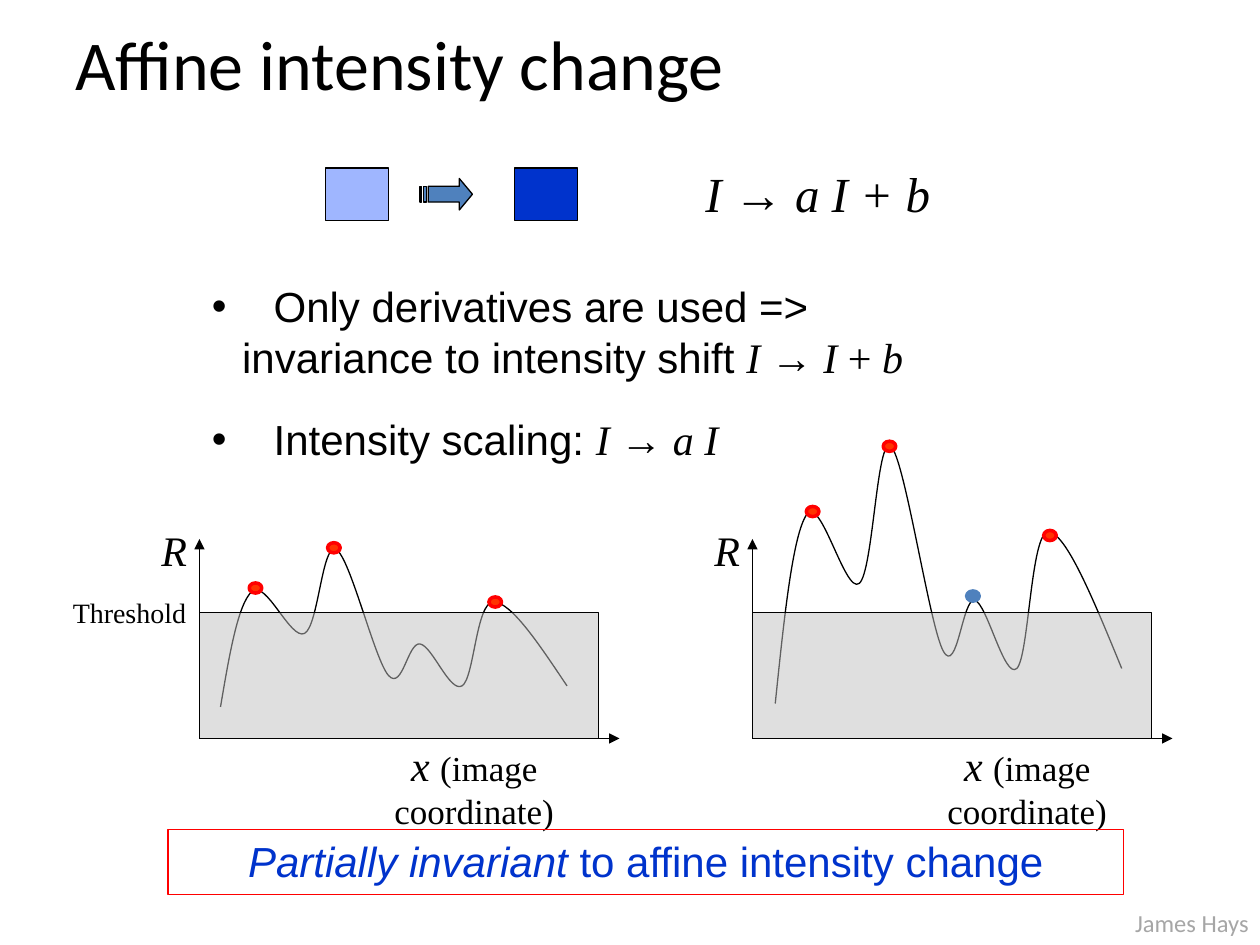
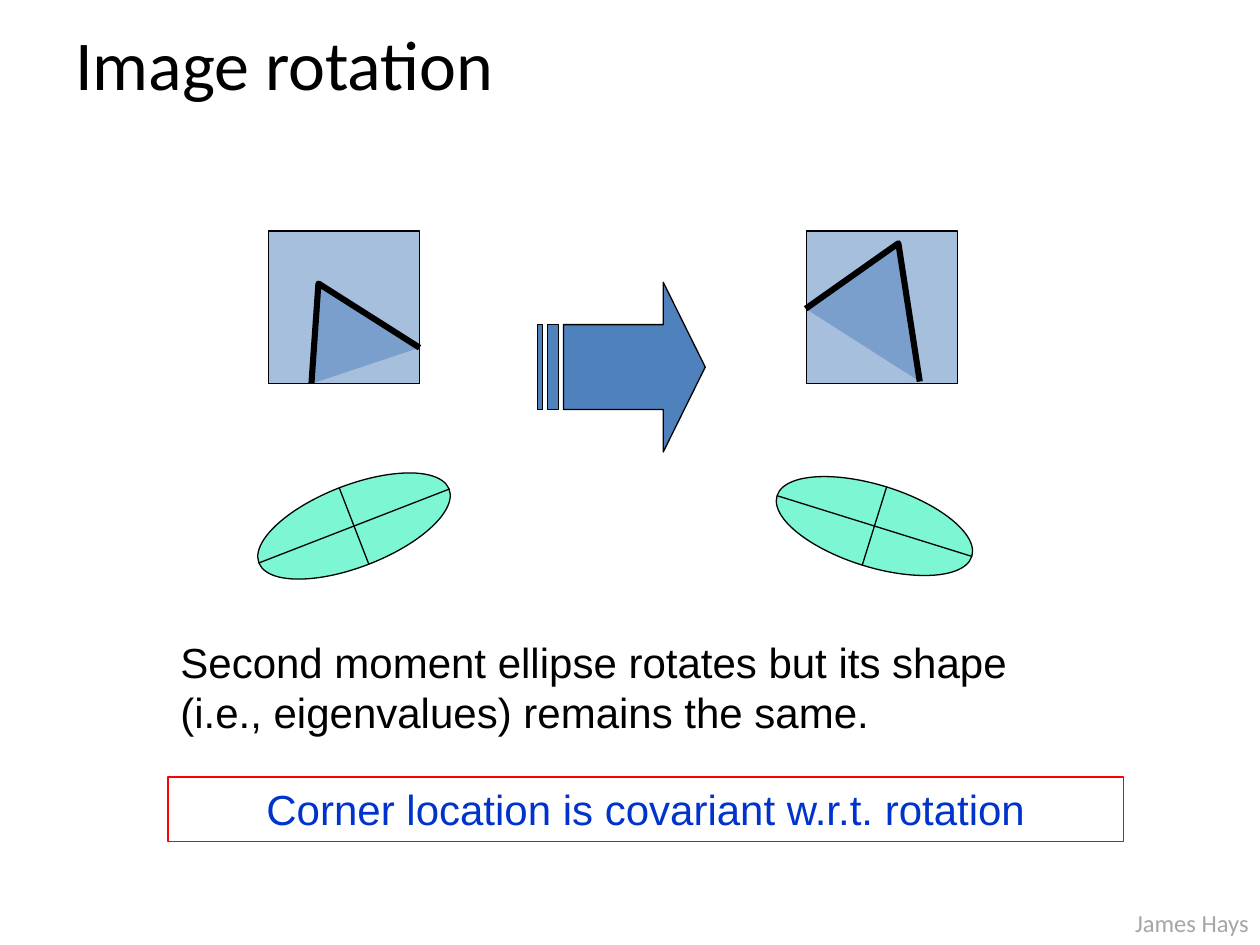
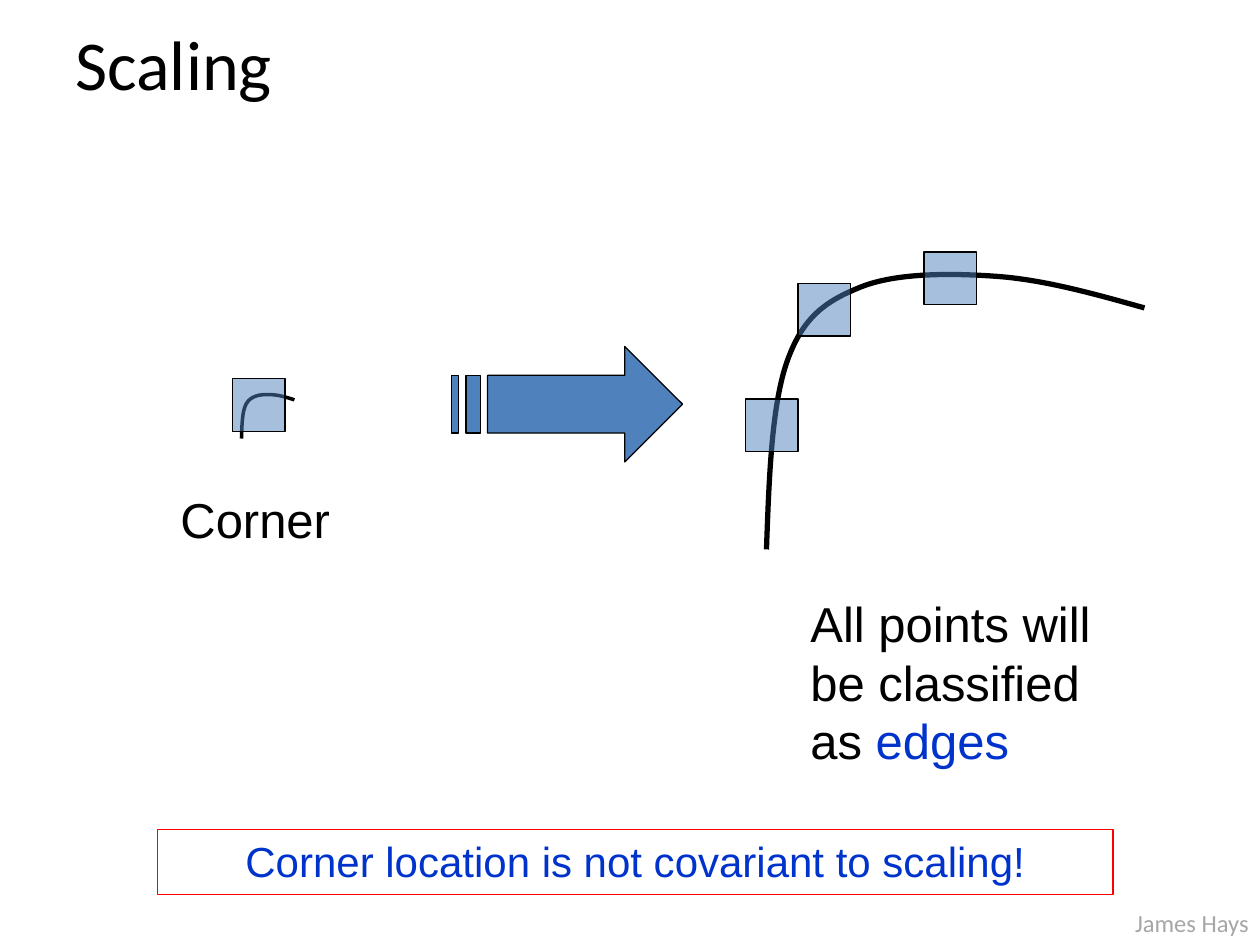
import math

import pptx
import pptx.dml.color
import pptx.enum.shapes
import pptx.enum.text
import pptx.oxml.ns
import pptx.util
from lxml import etree

Pt = pptx.util.Pt
qn = pptx.oxml.ns.qn
ALIGN = pptx.enum.text.PP_ALIGN
SHAPE = pptx.enum.shapes.MSO_SHAPE

COLOURS = {
    "text": "000000", "footer": "A6A6A6", "blue": "0033CC", "pale": "9FB6FF",
    "accent": "4F81BD", "gray": "C0C0C0", "border": "FF0000", "dot": "FF3300",
    "ellipse": "7CF6D3",
}
STYLES = {
    "title": ("Calibri", 40, False, "text"),
    "footer": ("Calibri", 14, False, "footer"),
    "body": ("Arial", 24, False, "text"),
    "large": ("Arial", 28, False, "text"),
    "large blue": ("Arial", 28, False, "blue"),
    "result": ("Arial", 24, False, "blue"),
    "result italic": ("Arial", 24, True, "blue"),
    "math": ("Times New Roman", 24, True, "text"),
    "symbol": ("Times New Roman", 24, False, "text"),
    "formula": ("Times New Roman", 28, True, "text"),
    "formula symbol": ("Times New Roman", 28, False, "text"),
    "axis note": ("Times New Roman", 20, False, "text"),
    "threshold": ("Times New Roman", 16, False, "text"),
}

FOOTER = "James Hays"
FORMULA = [("I ", "formula"), ("→ ", "formula symbol"), ("a I + b", "formula")]
BULLETS = [
    (114, 157, 438, 66, [
        ("Only derivatives are used => invariance to intensity shift ", "body"),
        ("I ", "math"), ("→ ", "symbol"), ("I ", "math"), ("+ ", "symbol"), ("b", "math"),
    ]),
    (114, 233, 408, 36, [
        ("Intensity scaling: ", "body"), ("I ", "math"), ("→ ", "symbol"), ("a I", "math"),
    ]),
]
AXIS_LABEL = [("x ", "math"), ("(image coordinate)", "axis note")]
CURVE_X = (126, 144, 174, 192, 222, 240, 264, 282, 324)
PLOTS = [
    {
        "left": 114, "curve_shift": 0,
        "curve_y": (404, 338, 362, 314, 386, 368, 392, 344, 392),
        "peaks": [(146, 336, True), (190.8, 313, True), (283, 344, True)],
    },
    {
        "left": 430, "curve_shift": 317,
        "curve_y": (402, 294, 333.4, 255, 372, 343, 382, 304, 382),
        "peaks": [(464.4, 292.3, True), (508.3, 255, True),
                  (556, 340.6, False), (600, 306, True)],
    },
]
CORNERS = [
    (153.4, [(178, 219.3), (182, 162), (239.8, 198.7)]),
    (460.8, [(460.4, 176.4), (513.4, 139), (525.6, 218)]),
]
ELLIPSES = [(202.3, 300.6, -21.2), (499.7, 300.6, 17.3)]
EDGE_CURVE = [(438, 314), (450, 206), (492, 164), (570, 158), (654, 176)]
EDGE_WINDOWS = [(528, 144), (456, 162), (426, 228)]


def rgb(name):
    return pptx.dml.color.RGBColor.from_string(COLOURS[name])


def paint(shape, fill=None, line="text", stroke=0.75, opacity=100):
    shape.shadow.inherit = False
    if fill:
        shape.fill.solid()
        shape.fill.fore_color.rgb = rgb(fill)
        if opacity < 100:
            colour = shape._element.spPr.find(qn("a:solidFill"))[0]
            etree.SubElement(colour, qn("a:alpha"), val=str(opacity * 1000))
    else:
        shape.fill.background()
    shape.line.color.rgb = rgb(line)
    shape.line.width = Pt(stroke)


def add_block(slide, kind, left, top, width, height, fill, **look):
    shape = slide.shapes.add_shape(kind, Pt(left), Pt(top), Pt(width), Pt(height))
    paint(shape, fill, **look)
    return shape


def add_runs(paragraph, runs):
    for text, style in runs:
        run = paragraph.add_run()
        run.text = text
        font, size, italic, colour = STYLES[style]
        run.font.name = font
        run.font.size = Pt(size)
        run.font.italic = italic
        run.font.color.rgb = rgb(colour)


def add_text(slide, left, top, width, height, runs, align=ALIGN.LEFT, sides=7.2):
    box = slide.shapes.add_textbox(Pt(left), Pt(top), Pt(width), Pt(height))
    frame = box.text_frame
    frame.word_wrap = True
    frame.margin_left = frame.margin_right = Pt(sides)
    frame.paragraphs[0].alignment = align
    add_runs(frame.paragraphs[0], runs)
    return box


def add_bullet(slide, left, top, width, height, runs):
    box = add_text(slide, left, top, width, height, [(" ", "symbol")] + runs)
    paragraph = box.text_frame.paragraphs[0]
    hanging = Pt(17.3)
    properties = paragraph._p.get_or_add_pPr()
    properties.set("marL", str(hanging))
    properties.set("indent", str(-hanging))
    etree.SubElement(properties, qn("a:buFont"), typeface="Arial")
    etree.SubElement(properties, qn("a:buChar"), char="•")
    paragraph.runs[0]._r.get_or_add_rPr().set("spc", "1200")


def add_line(slide, start, end, arrow=False):
    ends = [Pt(value) for value in (*start, *end)]
    line = slide.shapes.add_connector(pptx.enum.shapes.MSO_CONNECTOR.STRAIGHT, *ends)
    line.line.color.rgb = rgb("text")
    line.line.width = Pt(0.75)
    if arrow:
        etree.SubElement(line.line._get_or_add_ln(), qn("a:tailEnd"), type="triangle")
    etree.SubElement(line._element.spPr, qn("a:effectLst"))


def add_outline(slide, contours, close=False):
    contours = [[(Pt(x), Pt(y)) for x, y in contour] for contour in contours]
    builder = slide.shapes.build_freeform(*contours[0][0])
    for number, contour in enumerate(contours):
        if number:
            builder.move_to(*contour[0])
        builder.add_line_segments(contour[1:], close=close)
    return builder.convert_to_shape()


def midpoint(first, second):
    return (first[0] + second[0]) / 2, (first[1] + second[1]) / 2


def add_curve(slide, knots, stroke):
    handles = []
    for before, knot, after in zip(knots, knots[1:], knots[2:]):
        dx, dy = (after[0] - before[0]) / 6, (after[1] - before[1]) / 6
        handles.append(((knot[0] - dx, knot[1] - dy), (knot[0] + dx, knot[1] + dy)))
    points = [knots[0], midpoint(knots[0], handles[0][0])]
    for knot, (incoming, outgoing) in zip(knots[1:], handles):
        points += [incoming, knot, outgoing]
    points += [midpoint(handles[-1][1], knots[-1]), knots[-1]]
    shape = add_outline(slide, [points])
    path = next(shape._element.iter(qn("a:path")))
    segments = path.findall(qn("a:lnTo"))
    for index in range(0, len(segments), 3):
        bezier = etree.SubElement(path, qn("a:cubicBezTo"))
        for segment in segments[index:index + 3]:
            bezier.append(segment[0])
            path.remove(segment)
    paint(shape, stroke=stroke)


def add_striped_arrow(slide, left, top, width, height):
    right, bottom = left + width, top + height
    unit, neck = width / 32, right - width / 4
    upper, middle, lower = top + height / 4, top + height / 2, bottom - height / 4
    body = left + 5 * unit
    contours = [[(neck, top), (neck, upper), (body, upper), (body, lower),
                 (neck, lower), (neck, bottom), (right, middle)]]
    for start, end in ((2, 4), (0, 1)):
        x1, x2 = left + start * unit, left + end * unit
        contours.append([(x1, upper), (x1, lower), (x2, lower), (x2, upper)])
    paint(add_outline(slide, contours, close=True), "accent")


def add_window(slide, left, top, width=30, height=30):
    add_block(slide, SHAPE.RECTANGLE, left, top, width, height, "accent", opacity=50)


def add_result(slide, left, top, runs):
    paint(add_text(slide, left, top, 546, 37, runs, ALIGN.CENTER), line="border")


def add_base(presentation, title):
    slide = presentation.slides.add_slide(presentation.slide_layouts[6])
    box = add_text(slide, 36, 0, 648, 72, [(title, "title")])
    box.text_frame.vertical_anchor = pptx.enum.text.MSO_ANCHOR.MIDDLE
    footer = add_text(slide, 641.5, 515.5, 78.5, 24, [(FOOTER, "footer")])
    footer.text_frame.margin_right = 0
    return slide


def add_plot(slide, plot):
    left, base, threshold = plot["left"], 422, 350
    knots = [(x + plot["curve_shift"], y) for x, y in zip(CURVE_X, plot["curve_y"])]
    add_curve(slide, knots, 0.75)
    add_line(slide, (left, base), (left + 240, base), arrow=True)
    add_line(slide, (left, base), (left, 308), arrow=True)
    add_text(slide, left - 29, 296, 29, 36, [("R", "math")], ALIGN.CENTER, sides=0)
    add_text(slide, left + 66, 419, 182, 60, AXIS_LABEL, ALIGN.CENTER, sides=25)
    add_block(slide, SHAPE.RECTANGLE, left, threshold, 228, base - threshold, "gray", opacity=50)
    for x, y, is_kept in plot["peaks"]:
        fill, line = ("dot", "border") if is_kept else ("accent", "accent")
        add_block(slide, SHAPE.OVAL, x - 3.6, y - 2.9, 7.2, 5.8, fill, line=line, stroke=2)


def add_moment_ellipse(slide, x, y, degrees):
    width, height = 116.6, 46.8
    ellipse = add_block(slide, SHAPE.OVAL, x - width / 2, y - height / 2, width, height, "ellipse")
    ellipse.rotation = degrees
    for length, turn in ((width, 0), (height, 90)):
        angle = math.radians(degrees + turn)
        dx, dy = length / 2 * math.cos(angle), length / 2 * math.sin(angle)
        add_line(slide, (x - dx, y - dy), (x + dx, y + dy))


def build_intensity(presentation):
    slide = add_base(presentation, "Affine intensity change")
    for bullet in BULLETS:
        add_bullet(slide, *bullet)
    for plot in PLOTS:
        add_plot(slide, plot)
    add_text(slide, 34, 337, 80, 27, [("Threshold", "threshold")], ALIGN.CENTER, sides=0)
    add_result(slide, 96, 474, [("Partially invariant ", "result italic"),
                                ("to affine intensity change", "result")])
    add_text(slide, 396, 90, 160, 41, FORMULA)
    for left, fill in ((186, "pale"), (294, "blue")):
        add_block(slide, SHAPE.RECTANGLE, left, 96, 36, 30, fill)
    add_striped_arrow(slide, 240, 102, 30, 18)


def build_rotation(presentation):
    slide = add_base(presentation, "Image rotation")
    add_text(slide, 96, 360, 528, 66, [
        ("Second moment ellipse rotates but its shape (i.e., eigenvalues) remains the same.", "body"),
    ])
    for left, corner in CORNERS:
        add_window(slide, left, 132, 86.4, 87)
        paint(add_outline(slide, [corner]), "accent", stroke=3.5, opacity=50)
    add_striped_arrow(slide, 307, 161.3, 96, 97)
    for ellipse in ELLIPSES:
        add_moment_ellipse(slide, *ellipse)
    add_result(slide, 96, 444, [("Corner location is covariant w.r.t. rotation", "result")])


def build_scaling(presentation):
    slide = add_base(presentation, "Scaling")
    add_text(slide, 456, 335.5, 204, 108, [
        ("All points will be classified as ", "large"), ("edges", "large blue"),
    ])
    small_curve = [(138 + (x - 438) * 0.14, 250.6 + (y - 314) * 0.16) for x, y in EDGE_CURVE]
    add_curve(slide, small_curve, 2)
    add_window(slide, 133, 216.5)
    add_text(slide, 96, 276, 126, 41, [("Corner", "large")])
    add_result(slide, 90, 474, [("Corner location is not covariant to scaling!", "result")])
    add_curve(slide, EDGE_CURVE, 3)
    add_striped_arrow(slide, 258, 198, 132, 66)
    for left, top in EDGE_WINDOWS:
        add_window(slide, left, top)


def main():
    presentation = pptx.Presentation()
    presentation.slide_width = Pt(720)
    presentation.slide_height = Pt(540)
    build_intensity(presentation)
    build_rotation(presentation)
    build_scaling(presentation)
    presentation.save("out.pptx")


if __name__ == "__main__":
    main()
